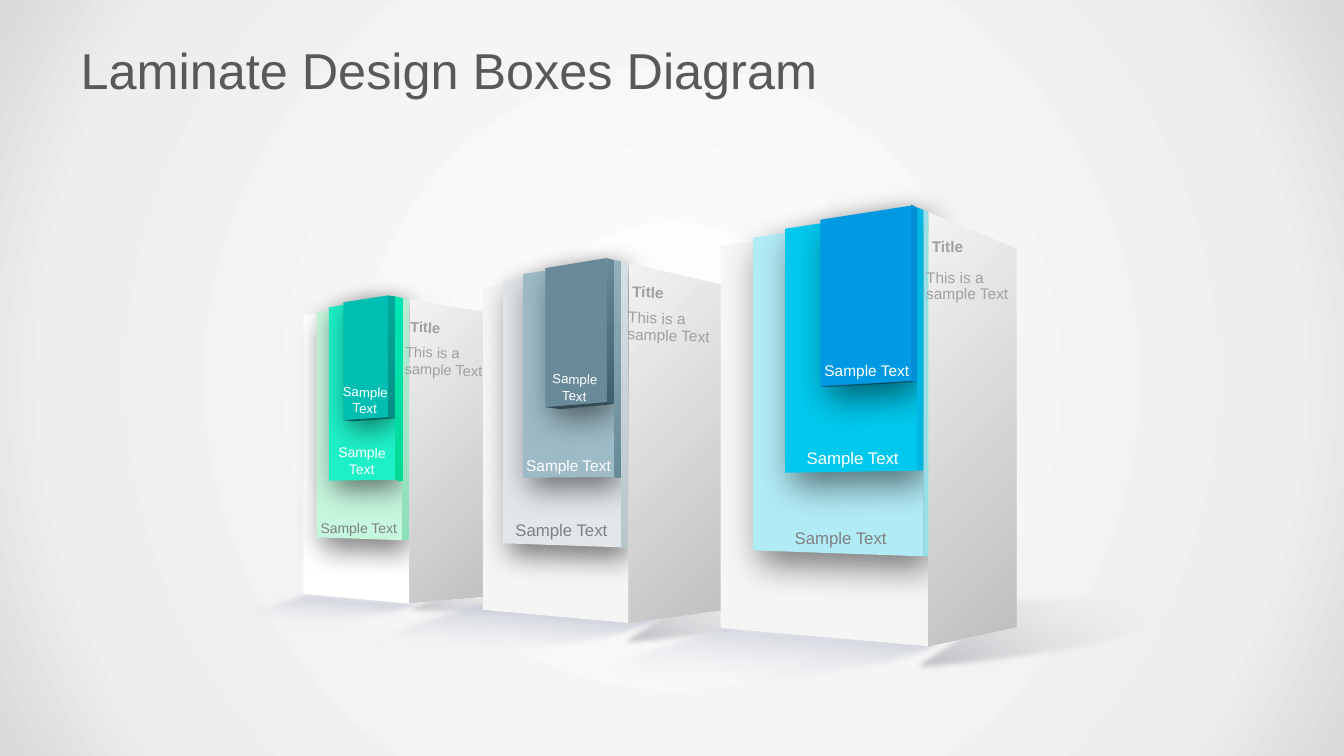
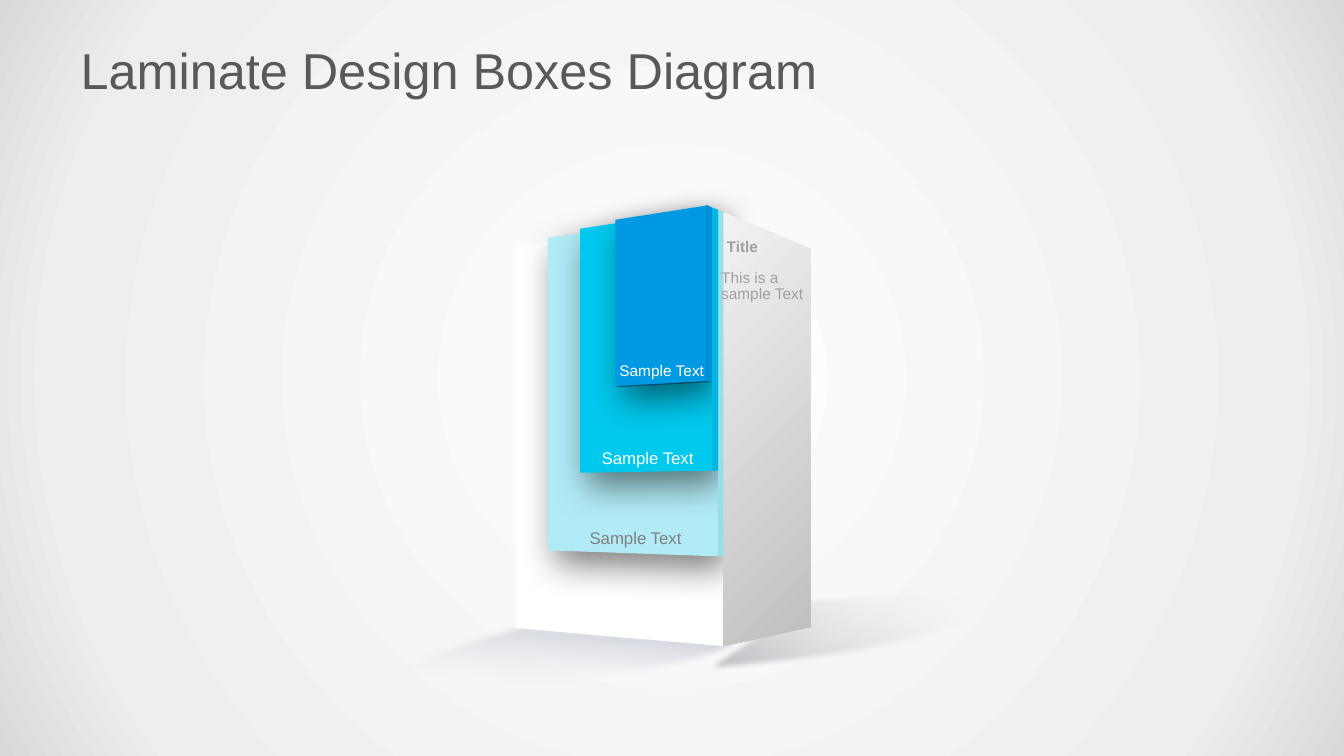
import pptx
import pptx.util
import pptx.oxml
import pptx.dml.color
import pptx.enum.text
from lxml import etree

Pt = pptx.util.Pt
ALIGN = pptx.enum.text.PP_ALIGN
NS = "http://schemas.openxmlformats.org/drawingml/2006/main"
A = "{%s}" % NS

TITLE = "Laminate Design Boxes Diagram"
FONT = "Arial"
INK, GREY, WHITE, MUTED = "595959", "A0A0A0", "FFFFFF", "808080"
SIDE = ("F2F2F2", "BFBFBF", 45)
BACK = [(0, "FFFFFF"), (81, "EEEEEE"), (100, "D9D9D9")]
SHIFT = -146.5

# quads: left, right, then heights at top left, top right, bottom right, bottom left
GREEN = {
    "glow": ("A0A7BC", [(216, 421.2), (203, 426.2), (159.8, 435.6), (169.2, 443.5),
                        (181.4, 453.6), (295.2, 447.8), (314.6, 428.4)]),
    "cast": (357, [(275.8, 434.2), (311.8, 439.2), (403.2, 447.1), (411.1, 431.3),
                   (416.9, 418.3), (367.2, 414), (334.1, 409)]),
    "face": ("FFFFFF", (216.7, 293, 225.4, 213.8, 431.3, 424.1)),
    "panels": [
        ("C6F6DE", (226.1, 287.3, 223.2, 213.1, 385.9, 383.8), (20, 9)),
        ("1DF0C7", (234.9, 282.2, 219.6, 211.7, 342.7, 343.4), (20, 8)),
        ("00BEB2", (245.2, 277.2, 216, 211, 298.1, 300.2), (20, 7))],
    "side": (292.5, 359.3, 213.8, 225.4, 424.8, 430.6),
    "edges": [
        (("B8ECD4", "8DDFBA", 90), (287.3, 292.3, 213.1, 213.8, 385.9, 385.9)),
        (("00E5B4", "03DA97", 90), (282.2, 288, 211.7, 213.1, 343.4, 342.7)),
        (("03A99C", "009085", 90), (277.2, 282.2, 211, 211.7, 298.8, 298.1))],
    "lip": ("006059", 100, [(245.5, 300.2), (251.3, 301), (282.2, 298.8), (277.2, 298.1)]),
    "head": (285.1, 223.2), "note": (282.2, 242.6), "size": 10.5, "turn": 2,
    "labels": [(229, 270.7, 63.4, 30.2, 9.5, 2, 1.0), (225.4, 313.2, 66.2, 31.7, 10, 1, 1.0),
               (216, 367.2, 80.6, 19.4, 10, 0, Pt(12))],
}
SLATE = {
    "glow": ("A0A7BC", [(337, 428.4), (317.5, 436.3), (252.7, 450), (267.1, 462.2),
                        (285.8, 476.6), (455.8, 468.7), (485.3, 439.2)]),
    "cast": (353, [(427.7, 452.2), (477.4, 456.5), (603.4, 458.6), (612.7, 435.6),
                   (619.9, 417.6), (551.5, 416.2), (504.7, 412.6)]),
    "face": ("F5F5F5", (344.9, 449.3, 205.2, 187.9, 445, 435.6)),
    "panels": [
        ("E1E6EA", (359.3, 443.5, 200.9, 187.2, 391, 388.1), (20, 9)),
        ("9DBBC6", (373.7, 438.5, 195.8, 185.8, 340.6, 341.3), (22, 9)),
        ("698A99", (389.5, 433.4, 191.5, 184.3, 288, 290.9), (23, 10))],
    "side": (449.3, 525.6, 187.9, 205.9, 434.2, 445),
    "edges": [
        (("D4E0E2", "B9C7CB", 90), (443.5, 449, 186.5, 187.9, 391.7, 391)),
        (("93AFBA", "698A99", 90), (438.5, 443.5, 185.8, 186.5, 341.3, 340.6)),
        (("698895", "40606F", 90), (433.4, 438.5, 184.3, 185.8, 288.7, 287.3))],
    "lip": ("324954", 100, [(389.5, 290.9), (400.3, 292.3), (437.8, 288.7), (433.4, 287.3)]),
    "head": (444.2, 198), "note": (441.4, 218.2), "size": 11, "turn": 2,
    "labels": [(378.7, 260.6, 63.4, 31.7, 9.5, 2, Pt(12)),
               (365.8, 323.3, 80.6, 19.4, 11, 0, Pt(12)),
               (360.7, 370.1, 80.6, 19.4, 12, 0, Pt(12))],
}
BLUE = {
    "glow": ("B3B8C9", [(516.2, 444.2), (493.9, 452.2), (420.5, 468.7), (436.3, 482.4),
                        (457.9, 499), (650.9, 489.6), (684.7, 456.5)]),
    "cast": (353, [(635.8, 468.7), (692.6, 473), (835.9, 475.9), (846.7, 449.3),
                   (854.6, 429.1), (776.9, 427), (723.6, 423.4)]),
    "face": ("F5F5F5", (514.8, 663.1, 175.7, 153.4, 461.5, 448.6)),
    "panels": [
        ("B1EBF6", (537.8, 659.5, 169.9, 151.2, 397.4, 393.1), (25, 11)),
        ("00C9ED", (560.9, 655.2, 163.4, 149, 336.2, 337.7), (25, 11)),
        ("0199E2", (586.1, 650.9, 157, 146.9, 272.2, 276.5), (25, 11))],
    "side": (663.1, 725.8, 151.2, 177.8, 447.8, 461.5),
    "edges": [
        ("97DFE7", (659.5, 663.1, 149.8, 151.2, 397.4, 397.4)),
        ("02B6E4", (655.2, 659.5, 148.3, 149.8, 336.2, 336.2)),
        ("008FD7", (650.9, 655.2, 146.2, 148.3, 272.9, 272.2))],
    "lip": ("000000", 40, [(586.1, 275.8), (650.9, 272.2), (654.5, 272.9), (589.7, 276.5)]),
    "head": (658.1, 165.6), "note": (654.5, 188.6), "size": 11, "turn": 0,
    "labels": [(578.9, 255.6, 80.6, 19.4, 11, 0, Pt(12)),
               (568.8, 318.2, 80.6, 19.4, 12, 0, Pt(12)),
               (560.2, 375.8, 80.6, 19.4, 12, 0, Pt(12))],
}
SLIDES = [
    [(GREEN, 0), (SLATE, 0), (BLUE, 0)],
    [({**BLUE, "face": ("FFFFFF", BLUE["face"][1])}, SHIFT)],
]


def rgb(code):
    return pptx.dml.color.RGBColor.from_string(code)


def quad(box):
    left, right, *ys = box
    return list(zip((left, right, right, left), ys))


def bend(pts, steps=16):
    out = [pts[0]]
    for i in (0, 3):
        p, q, r, s = pts[i:i + 4]
        for n in range(1, steps + 1):
            t = n / steps
            u = 1 - t
            out.append(tuple(u**3 * a + 3 * u * u * t * b + 3 * u * t * t * c + t**3 * d
                             for a, b, c, d in zip(p, q, r, s)))
    return out


def fade(shape, stop, alpha):
    tone = list(shape._element.spPr.iter(A + "srgbClr"))[stop]
    etree.SubElement(tone, A + "alpha", val=str(alpha * 1000))


def effect(shape, text):
    shape._element.spPr.find(A + "effectLst").append(pptx.oxml.parse_xml(text))


def draw(slide, pts, paint, dx, end=1):
    spots = [(Pt(x + dx), Pt(y)) for x, y in pts]
    pen = slide.shapes.build_freeform(*spots[0], scale=1.0)
    pen.add_line_segments(spots[1:], close=True)
    shape = pen.convert_to_shape()
    shape.line.fill.background()
    shape.shadow.inherit = False
    if isinstance(paint, str):
        shape.fill.solid()
        shape.fill.fore_color.rgb = rgb(paint)
    else:
        *tones, angle = paint
        shape.fill.gradient()
        shape.fill.gradient_angle = 360 - angle
        for stop, tone, place in zip(shape.fill.gradient_stops, tones, (0, end)):
            stop.color.rgb = rgb(tone)
            stop.position = place
    return shape


def ground(slide, box, dx):
    tone, left = box["glow"]
    turn, right = box["cast"]
    glow = draw(slide, bend(left), (WHITE, tone, 275), dx)
    cast = draw(slide, bend(right), (WHITE, "BABBC0", 130), dx, 0.9)
    cast.rotation = turn
    for shape in (glow, cast):
        fade(shape, 0, 0)
        effect(shape, f'<a:softEdge xmlns:a="{NS}" rad="{Pt(4)}"/>')


def block(slide, box, dx):
    tone, spots = box["face"]
    draw(slide, quad(spots), tone, dx)
    for tone, spots, (blur, dist) in box["panels"]:
        panel = draw(slide, quad(spots), tone, dx)
        effect(panel, f'<a:outerShdw xmlns:a="{NS}" blurRad="{Pt(blur)}" dist="{Pt(dist)}" '
               'dir="3600000" algn="ctr" rotWithShape="0"><a:srgbClr val="000000">'
               '<a:alpha val="50000"/></a:srgbClr></a:outerShdw>')
    draw(slide, quad(box["side"]), SIDE, dx)
    for paint, spots in box["edges"]:
        draw(slide, quad(spots), paint, dx)
    tone, alpha, pts = box["lip"]
    lip = draw(slide, pts, tone, dx)
    if alpha < 100:
        fade(lip, 0, alpha)


def write(slide, text, spot, size, tone, turn, lead, align=ALIGN.CENTER, bold=False):
    label = slide.shapes.add_textbox(*map(Pt, spot))
    label.rotation = turn
    frame = label.text_frame
    frame.text = text
    frame.word_wrap = not bold
    frame.vertical_anchor = pptx.enum.text.MSO_ANCHOR.MIDDLE
    para = frame.paragraphs[0]
    para.alignment = align
    para.line_spacing = lead
    font = para.runs[0].font
    font.name, font.size, font.bold = FONT, Pt(size), bold
    font.color.rgb = rgb(tone)


def words(slide, box, dx):
    size, turn = box["size"], box["turn"]
    x, y = box["head"]
    write(slide, "Title", (x + dx, y, 37.4, 20.9), size, GREY, turn, 1.0, bold=True)
    x, y = box["note"]
    write(slide, "This is a sample Text", (x + dx, y, 77.8, 31.7), size, GREY, turn,
          Pt(12), ALIGN.LEFT)
    for (x, y, w, h, size, turn, lead), tone in zip(box["labels"], (WHITE, WHITE, MUTED)):
        write(slide, "Sample Text", (x + dx, y, w, h), size, tone, turn, lead)


def theme(deck):
    master = deck.slide_master
    fill = master.background.fill
    fill.gradient()
    old = next(master._element.iter(A + "gradFill"))
    stops = "".join(f'<a:gs pos="{p * 1000}"><a:srgbClr val="{c}"/></a:gs>' for p, c in BACK)
    old.getparent().replace(old, pptx.oxml.parse_xml(
        f'<a:gradFill xmlns:a="{NS}" rotWithShape="1"><a:gsLst>{stops}</a:gsLst>'
        '<a:path path="circle"><a:fillToRect l="50000" t="50000" r="50000" b="50000"/>'
        '</a:path></a:gradFill>'))
    layout = deck.slide_layouts[5]
    title = layout.placeholders[0]
    title.left, title.top, title.width, title.height = map(Pt, (48, 21.6, 864, 56.2))
    frame = title.text_frame
    frame.margin_left = frame.margin_right = Pt(9.6)
    frame.margin_top = frame.margin_bottom = Pt(4.8)
    frame.vertical_anchor = pptx.enum.text.MSO_ANCHOR.MIDDLE
    return layout


def main():
    deck = pptx.Presentation()
    deck.slide_width, deck.slide_height = Pt(960), Pt(540)
    layout = theme(deck)
    for boxes in SLIDES:
        slide = deck.slides.add_slide(layout)
        slide.shapes.title.text_frame.text = TITLE
        para = slide.shapes.title.text_frame.paragraphs[0]
        para.alignment = ALIGN.LEFT
        font = para.runs[0].font
        font.name, font.size = FONT, Pt(36)
        font.color.rgb = rgb(INK)
        for part in (ground, block, words):
            for box, dx in boxes:
                part(slide, box, dx)
    deck.save("out.pptx")


if __name__ == "__main__":
    main()
